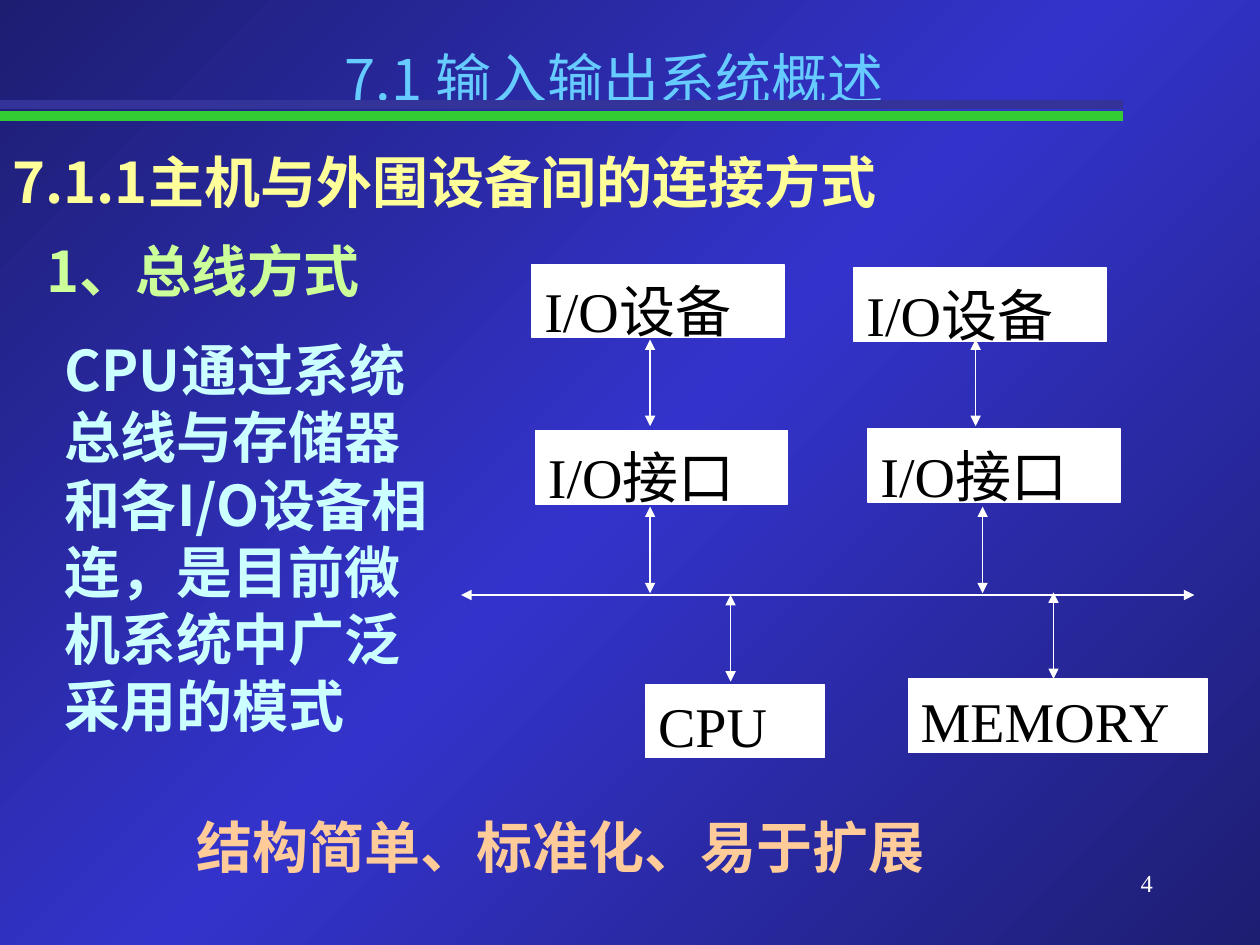
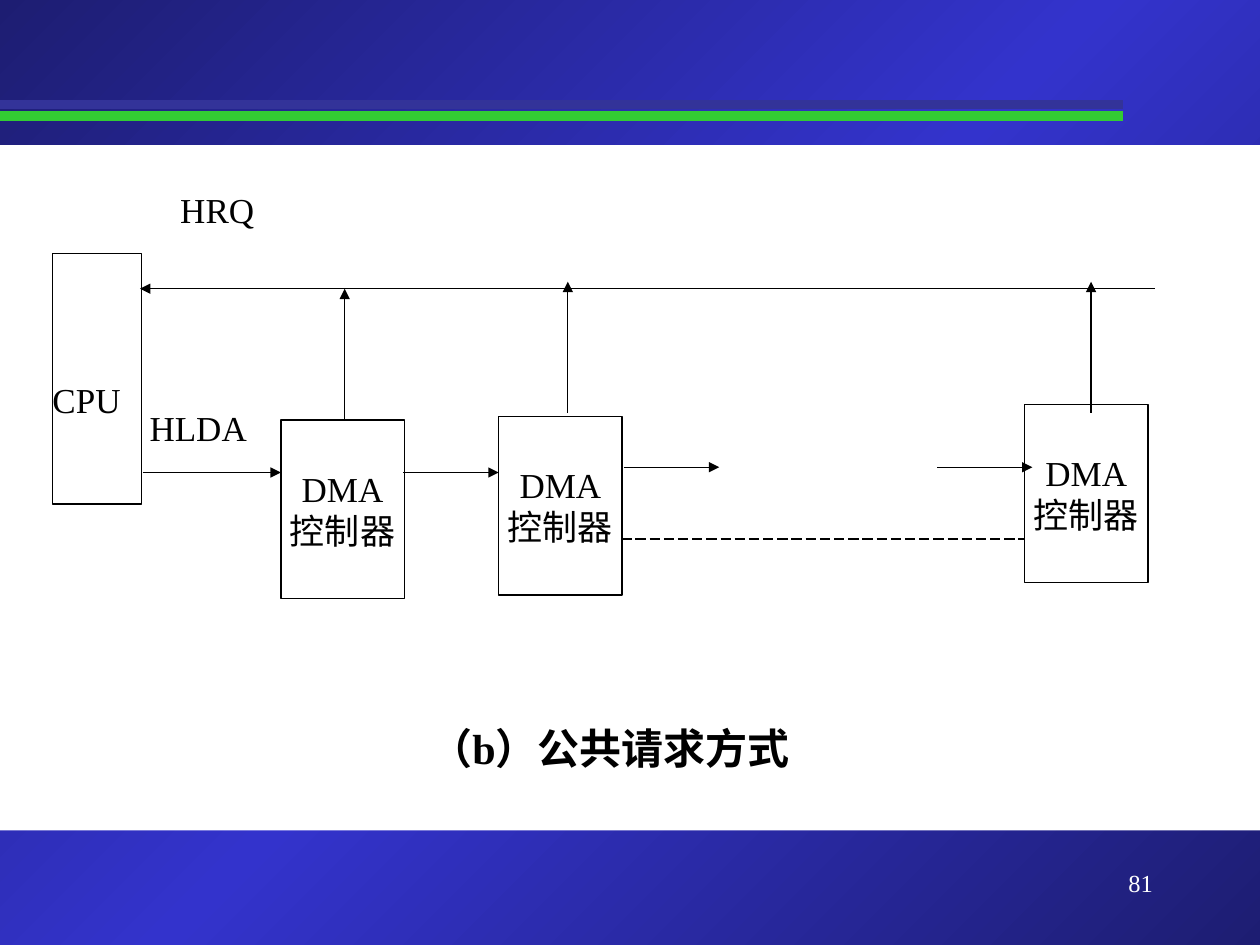
from lxml import etree
from pptx import Presentation
from pptx.dml.color import RGBColor
from pptx.enum import dml, shapes, text
from pptx.oxml import ns
from pptx.util import Pt

HUES = {
    "navy": "1D1D72", "blue": "3333CC", "green": "33CC33", "slate": "333399",
    "white": "FFFFFF", "black": "000000", "sky": "66CCFF", "lemon": "FFFF99",
    "lime": "CCFF99", "ice": "CCFFFF", "peach": "FFCC99",
}
SANS, SERIF = "Noto Sans CJK SC", "Times New Roman"
LEFT, MID, RIGHT = text.PP_ALIGN.LEFT, text.PP_ALIGN.CENTER, text.PP_ALIGN.RIGHT

BANDS = [("green", 66.3), ("slate", 59.8)]
TITLE = "7.1 输入输出系统概述"
NOTES = [
    ("7.1.1主机与外围设备间的连接方式", (0, 77, 654, 45), "lemon", 42),
    ("1、总线方式", (19.5, 128, 235, 45), "lime", 42),
    ("CPU通过系统总线与存储器和各I/O设备相连，是目前微机系统中广泛采用的模式",
     (30, 188.3, 222.5, 238), "ice", 38.4),
    ("结构简单、标准化、易于扩展", (105, 457, 470, 45), "peach", 42),
]
UNITS = [
    ("I/O设备", 304, 151, 144, 42), ("I/O设备", 488, 153, 144, 42),
    ("I/O接口", 496, 245, 144, 42), ("I/O接口", 306, 246, 144, 42),
    ("CPU", 369, 391, 102, 39), ("MEMORY", 519, 388, 171, 39),
]
BUS = (263.5, 340, 682.5, 340)
LINKS = [(371.5, 194), (557.5, 194), (371.5, 289.5), (561.5, 289.5),
         (417.5, 340), (602, 338.5)]
SPAN = 49.5

PANEL = (0, 83, 720, 391.5)
CAPTION = ("（b）公共请求方式", (246, 416, 241, 22))
HOST = ("CPU", (30, 145, 51, 143))
DMA = ["DMA", "控制器"]
NODES = [(160.5, 240), (285, 238), (585.5, 231)]
SIZE = (70.5, 102)
SIGNS = [("HLDA", (85.5, 220.5, 72, 48)), ("HRQ", (103, 96, 64, 47))]
WIRES = [
    (660, 165, 80, 165), (81.5, 270, 160.5, 270), (230.5, 270, 285, 270),
    (356.5, 267, 411, 267), (535.5, 267, 590, 267),
    (197, 240, 197, 165), (324.5, 236, 324.5, 161), (623.5, 236, 623.5, 161),
]
GAP = (355, 308, 585.5, 308)


def hue(name):
    return RGBColor.from_string(HUES[name])


def place(box, area):
    box.left, box.top, box.width, box.height = map(Pt, area)


def write(box, lines, color, size=32, face=SANS, bold=False, align=LEFT,
          lead=None, mid=False, inset=(7.2, 3.6)):
    frame = box.text_frame
    frame.word_wrap = True
    frame.auto_size = text.MSO_AUTO_SIZE.NONE
    frame.vertical_anchor = text.MSO_ANCHOR.MIDDLE if mid else text.MSO_ANCHOR.TOP
    frame.margin_left = frame.margin_right = Pt(inset[0])
    frame.margin_top, frame.margin_bottom = Pt(inset[1]), Pt(3.6)
    for i, line in enumerate(lines):
        para = frame.add_paragraph() if i else frame.paragraphs[0]
        para.alignment = align
        para.space_before = Pt(0)
        para.line_spacing = Pt(lead or size * 1.2)
        run = para.add_run()
        run.text = line
        font = run.font
        font.name, font.size, font.bold = face, Pt(size), bold
        font.color.rgb = hue(color)
        east = etree.SubElement(font._element, ns.qn("a:ea"))
        east.set("typeface", SANS)


def label(page, words, area, color, **style):
    box = page.shapes.add_textbox(*map(Pt, area))
    write(box, [words], color, **style)


def block(page, area, fill=None, edge=None):
    box = page.shapes.add_shape(shapes.MSO_SHAPE.RECTANGLE, *map(Pt, area))
    box.shadow.inherit = False
    if fill:
        box.fill.solid()
        box.fill.fore_color.rgb = hue(fill)
    else:
        box.fill.background()
    if edge:
        box.line.color.rgb = hue(edge)
        box.line.width = Pt(0.75)
    else:
        box.line.fill.background()
    return box


def rule(page, ends, color, width=0.75, tips=(), dash=False):
    line = page.shapes.add_connector(shapes.MSO_CONNECTOR.STRAIGHT, *map(Pt, ends))
    line.line.color.rgb = hue(color)
    line.line.width = Pt(width)
    if dash:
        line.line.dash_style = dml.MSO_LINE.LONG_DASH
    props = line.element.spPr
    for tip in tips:
        etree.SubElement(props.find(ns.qn("a:ln")), ns.qn("a:" + tip)).set("type", "triangle")
    etree.SubElement(props, ns.qn("a:effectLst"))


def paint(master):
    master.background.fill.gradient()
    grad = master.element.find(".//" + ns.qn("a:gradFill"))
    for child in list(grad):
        grad.remove(child)
    stops = etree.SubElement(grad, ns.qn("a:gsLst"))
    for pos, name in [(0, "navy"), (50, "blue"), (100, "navy")]:
        stop = etree.SubElement(stops, ns.qn("a:gs"), pos=str(pos * 1000))
        etree.SubElement(stop, ns.qn("a:srgbClr"), val=HUES[name])
    etree.SubElement(grad, ns.qn("a:lin"), ang=str(45 * 60000), scaled="1")


def start(deck, layout, number):
    page = deck.slides.add_slide(deck.slide_layouts[layout])
    for color, y in BANDS:
        rule(page, (0, y, 642, y), color, 5.5)
    label(page, number, (516, 492, 150, 36), "white", size=14, face=SERIF,
          align=RIGHT, lead=17)
    return page


def bus(deck):
    page = start(deck, 5, "4")
    title = page.shapes.title
    place(title, (84, 18, 534, 45))
    write(title, [TITLE], "sky", align=MID, lead=42)
    for words, area, color, lead in NOTES:
        label(page, words, area, color, bold=True, lead=lead)
    for words, x, y, wide, lead in UNITS:
        box = block(page, (x, y, wide, 42), "white", "white")
        write(box, [words], "black", face=SERIF, lead=lead)
    for ends in [BUS] + [(x, y, x, y + SPAN) for x, y in LINKS]:
        rule(page, ends, "white", tips=("headEnd", "tailEnd"))


def chain(deck):
    page = start(deck, 6, "81")
    block(page, PANEL, "white")
    style = dict(face=SERIF, mid=True, inset=(0, 3.6))
    label(page, *CAPTION, "black", size=24, bold=True, **style)
    words, area = HOST
    write(block(page, area, edge="black"), [words], "black", size=20,
          face=SERIF, mid=True, inset=(0, 27.6))
    for spot in NODES:
        box = block(page, spot + SIZE, edge="black")
        write(box, DMA, "black", size=20, align=MID, **style)
    for ends in WIRES:
        rule(page, ends, "black", tips=("tailEnd",))
    rule(page, GAP, "black", dash=True)
    for words, area in SIGNS:
        label(page, words, area, "black", size=20, **style)


def main():
    deck = Presentation()
    deck.slide_width, deck.slide_height = Pt(720), Pt(540)
    paint(deck.slide_master)
    bus(deck)
    chain(deck)
    deck.save("out.pptx")


if __name__ == "__main__":
    main()
